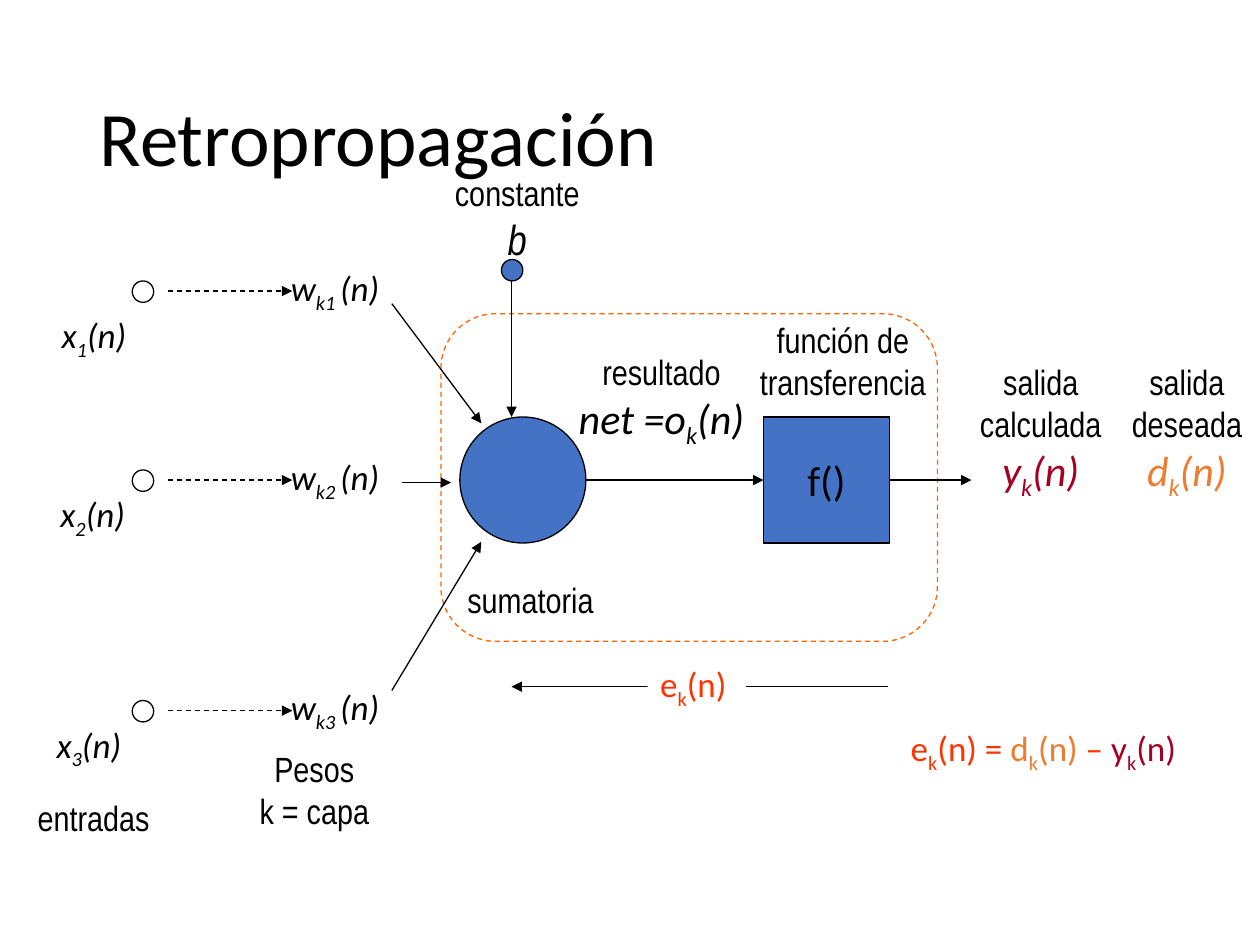
from dataclasses import dataclass

from lxml.etree import SubElement
from pptx import Presentation
from pptx.dml.color import RGBColor
from pptx.enum.dml import MSO_LINE
from pptx.enum.shapes import MSO_CONNECTOR, MSO_SHAPE as SHAPE
from pptx.enum.text import MSO_ANCHOR, MSO_AUTO_SIZE, PP_ALIGN as ALIGN
from pptx.oxml.ns import qn
from pptx.util import Inches, Pt

COLS, ROWS = 100, 75
CELL = Inches(0.1)
DOT = 1.7
COLORS = {
    "ink": "000000", "paper": "FFFFFF", "node": "4472C4", "frame": "FF6600",
    "error": "FF3300", "desired": "ED7D31", "computed": "A50021",
}
# style: font, size, italic, colour
STYLES = {
    "label": ("Arial Narrow", 20, False, "ink"),
    "bias": ("Arial Narrow", 24, True, "ink"),
    "signal": ("Calibri", 20, True, "ink"),
    "net": ("Calibri", 24, True, "ink"),
    "function": ("Calibri", 24, False, "ink"),
    "computed": ("Calibri", 24, True, "computed"),
    "desired": ("Calibri", 24, True, "desired"),
    "error": ("Calibri", 20, False, "error"),
    "error_desired": ("Calibri", 20, False, "desired"),
    "error_computed": ("Calibri", 20, False, "computed"),
    "title": ("Calibri", 44, False, "ink"),
}


def rgb(name):
    return RGBColor.from_string(COLORS[name])


def add_runs(paragraph, markup, style):
    """Add runs to a paragraph; text between underscores is subscript."""
    font_name, size, italic, color = STYLES[style]
    for index, part in enumerate(markup.split("_")):
        run = paragraph.add_run()
        run.text = part
        font = run.font
        font.name, font.size, font.italic = font_name, Pt(size), italic
        font.color.rgb = rgb(color)
        if index % 2:
            run._r.get_or_add_rPr().set("baseline", "-25000")


def write(frame, lines, align, wrap=False):
    """Fill a text frame; each line is a list of (markup, style) pairs."""
    frame.word_wrap = wrap
    for index, line in enumerate(lines):
        paragraph = frame.add_paragraph() if index else frame.paragraphs[0]
        paragraph.alignment = align
        for markup, style in line:
            add_runs(paragraph, markup, style)


@dataclass
class Region:
    """A part of the slide; positions count grid cells from its corner."""
    shapes: object
    left: float
    top: float

    def place(self, x, y):
        return round((self.left + x) * CELL), round((self.top + y) * CELL)

    def text(self, x, y, w, h, *lines, align=ALIGN.CENTER, wrap=False):
        box = self.shapes.add_textbox(*self.place(x, y), round(w * CELL), round(h * CELL))
        write(box.text_frame, lines, align, wrap)
        box.text_frame.auto_size = MSO_AUTO_SIZE.SHAPE_TO_FIT_TEXT
        return box

    def shape(self, kind, x, y, w, h, fill=None, line="ink"):
        shape = self.shapes.add_shape(kind, *self.place(x, y), round(w * CELL), round(h * CELL))
        shape.shadow.inherit = False
        if fill:
            shape.fill.solid()
            shape.fill.fore_color.rgb = rgb(fill)
        else:
            shape.fill.background()
        shape.line.color.rgb = rgb(line)
        shape.line.width = Pt(0.75)
        return shape

    def arrow(self, x1, y1, x2, y2, dashed=False):
        arrow = self.shapes.add_connector(
            MSO_CONNECTOR.STRAIGHT, *self.place(x1, y1), *self.place(x2, y2))
        arrow.line.color.rgb = rgb("ink")
        arrow.line.width = Pt(0.75)
        if dashed:
            arrow.line.dash_style = MSO_LINE.DASH
        SubElement(arrow.line._get_or_add_ln(), qn("a:tailEnd"), type="triangle")
        SubElement(arrow._element.spPr, qn("a:effectLst"))


def add_title(slide):
    title = slide.shapes.title
    title.left, title.top = round(6.9 * CELL), 4 * CELL
    title.width, title.height = round(86.2 * CELL), round(14.5 * CELL)
    frame = title.text_frame
    frame.vertical_anchor = MSO_ANCHOR.MIDDLE
    write(frame, [[("Retropropagación", "title")]], ALIGN.LEFT, wrap=True)
    frame.paragraphs[0].line_spacing = 0.9


def add_neuron(region):
    region.shape(SHAPE.ROUNDED_RECTANGLE, 0, 0, 39.4, 26, line="frame").line.dash_style = MSO_LINE.DASH
    region.shape(SHAPE.OVAL, 1.5, 8.2, 10, 10, fill="node")
    transfer = region.shape(SHAPE.RECTANGLE, 25.6, 8.2, 10, 10, fill="node")
    transfer.text_frame.vertical_anchor = MSO_ANCHOR.MIDDLE
    write(transfer.text_frame, [[("f()", "function")]], ALIGN.CENTER)
    region.text(1.1, 20.5, 12, 4.3, [("sumatoria", "label")])
    region.text(24.3, -0.1, 15.2, 7.7, [("función de", "label")], [("transferencia", "label")])
    region.text(9.2, 2.4, 16.6, 8.3, [("resultado", "label")], [("net =o_k_(n)", "net")])
    region.arrow(11.5, 13.2, 25.6, 13.2)
    region.arrow(35.6, 13.2, 42.1, 13.2)


def add_bias(region):
    region.text(0, 0, 11.9, 8.3, [("constante", "label")], [("b", "bias")])
    region.shape(SHAPE.OVAL, 4.7, 7.5, DOT, DOT, fill="node")
    region.arrow(5.5, 9.2, 5.5, 20)


def add_input(region, number, label_x, label_y):
    """One input row: dot, signal name, dashed arrow and weight."""
    region.shape(SHAPE.OVAL, 10.5, 0, DOT, DOT)
    region.text(label_x, label_y, 7.8, 4.3, [(f"x_{number}_(n)", "signal")], align=ALIGN.LEFT)
    region.arrow(13.3, 0.8, 23.2, 0.8, dashed=True)
    region.text(22.1, -1.65, 11.7, 4.3, [(f"w_k{number} _(n)", "signal")],
                align=ALIGN.LEFT, wrap=True)


def add_input_captions(region):
    region.text(2, 3.9, 10.9, 4.3, [("entradas", "label")], align=ALIGN.LEFT)
    region.text(19.6, 0, 10.7, 7.7, [("Pesos", "label")], [("k = capa", "label")])


def add_weighted_arrows(region):
    region.arrow(0, 0, 7.1, 9.5)
    region.arrow(0.8, 14.2, 4.7, 14.2)
    region.arrow(0, 30.7, 7.1, 18.9)


def add_output(region, width, kind, formula, style):
    region.text(0, 0, width, 11.7, [("salida", "label")], [(kind, "label")], [(formula, style)])


def add_error(region):
    region.arrow(29.9, 2.4, 0, 2.4)
    error = region.text(10.8, 0, 7.8, 4.3, [("e_k_(n)", "error")], align=ALIGN.LEFT)
    error.fill.solid()
    error.fill.fore_color.rgb = rgb("paper")
    region.text(30.7, 5.1, 25.6, 4.3,
                [("e_k_(n) = ", "error"), ("d_k_(n)", "error_desired"),
                 (" – ", "error"), ("y_k_(n)", "error_computed")], align=ALIGN.LEFT)


def main():
    deck = Presentation()
    deck.slide_width, deck.slide_height = COLS * CELL, ROWS * CELL
    slide = deck.slides.add_slide(deck.slide_layouts[5])
    shapes = slide.shapes

    add_title(slide)
    add_neuron(Region(shapes, 35, 24.9))
    add_bias(Region(shapes, 35.1, 13.1))
    input_rows = [(22.3, 3.9, 2.1), (37.3, 3.8, 1.3), (55.6, 3.5, 1.3)]
    for number, (top, label_x, label_y) in enumerate(input_rows, start=1):
        add_input(Region(shapes, 0, top), number, label_x, label_y)
    add_input_captions(Region(shapes, 0, 58.8))
    add_weighted_arrows(Region(shapes, 31.1, 24.1))
    add_output(Region(shapes, 76.4, 28.1), 12.4, "calculada", "y_k_(n)", "computed")
    add_output(Region(shapes, 88.6, 28.1), 11.2, "deseada", "d_k_(n)", "desired")
    add_error(Region(shapes, 40.6, 52.1))
    deck.save("out.pptx")


if __name__ == "__main__":
    main()
